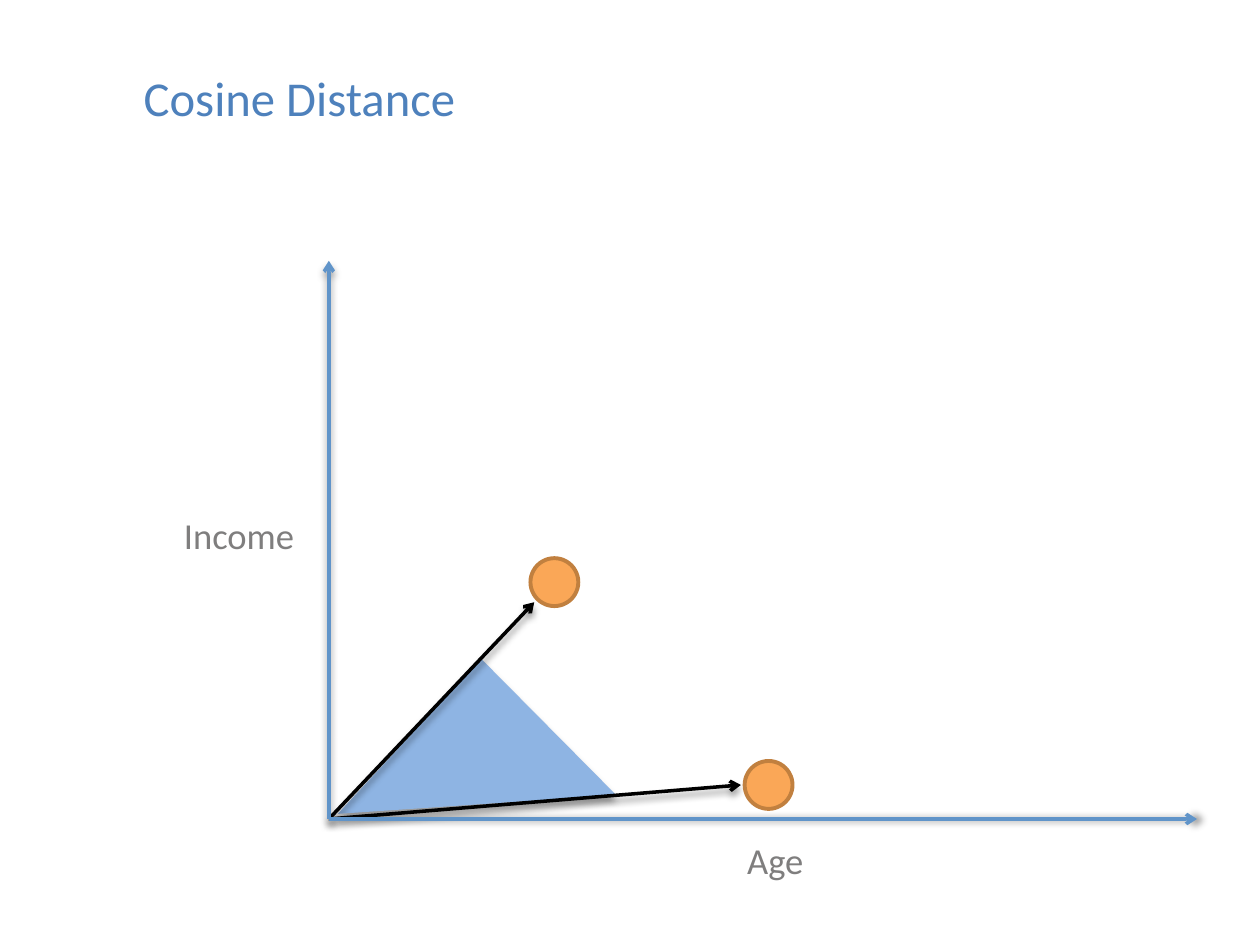
import pptx
import pptx.dml.color
import pptx.enum.shapes
import pptx.oxml
import pptx.oxml.ns
import pptx.util

RGB = pptx.dml.color.RGBColor.from_string
Pt = pptx.util.Pt

THEME = {
    "font": "Calibri",
    "title": RGB("4E81BC"), "title_size": 48,
    "label": RGB("7F7E7E"), "label_size": 36,
    "axis": RGB("6094C9"),
    "vector": RGB("000000"),
    "wedge": RGB("8EB4E3"),
    "point": RGB("FAA757"), "point_edge": RGB("C1803F"),
}

prs = pptx.Presentation()
prs.slide_width = pptx.util.Inches(10)
prs.slide_height = pptx.util.Inches(7.5)
s = prs.slides.add_slide(prs.slide_layouts[6])


def share(x, y):
    """Turn percentages of the slide's width and height into EMU."""
    return round(prs.slide_width * x / 100), round(prs.slide_height * y / 100)


def cast_shadow(sp, angle):
    """Add a soft black shadow falling at the given angle in degrees."""
    sp._element.spPr.append(pptx.oxml.parse_xml(
        f'<a:effectLst {pptx.oxml.ns.nsdecls("a")}>'
        f'<a:outerShdw blurRad="{Pt(4)}" dist="{Pt(3)}" dir="{angle * 60000}" rotWithShape="0">'
        '<a:srgbClr val="000000"><a:alpha val="40000"/></a:srgbClr>'
        '</a:outerShdw></a:effectLst>'))


ORIGIN = (26.1, 86.67)

# Angle between the two vectors
wedge = [share(26.8, 86.13), share(38.2, 69.73), share(48.9, 84.13)]
builder = s.shapes.build_freeform(*wedge[0])
builder.add_line_segments(wedge[1:], close=True)
sp = builder.convert_to_shape()
sp.fill.solid()
sp.fill.fore_color.rgb = THEME["wedge"]
sp.line.fill.background()
cast_shadow(sp, 90)

# Vectors, then axes on top: end point, colour, shadow angle
for end, color, angle in [
    ((42.4, 63.73), "vector", 90),
    ((58.8, 83.07), "vector", 90),
    ((ORIGIN[0], 27.6), "axis", 90),
    ((95, ORIGIN[1]), "axis", 0),
]:
    arrow = s.shapes.add_connector(
        pptx.enum.shapes.MSO_CONNECTOR.STRAIGHT, *share(*ORIGIN), *share(*end))
    arrow.line.color.rgb = THEME[color]
    arrow.line.width = Pt(2)
    arrow.line._get_or_add_ln().append(pptx.oxml.parse_xml(
        f'<a:tailEnd {pptx.oxml.ns.nsdecls("a")} type="arrow"/>'))
    cast_shadow(arrow, angle)

# Data points
for left, top in [(59.1, 80.53), (42.1, 59.07)]:
    sp = s.shapes.add_shape(
        pptx.enum.shapes.MSO_SHAPE.OVAL, *share(left, top), *share(3.8, 5.07))
    sp.shadow.inherit = False
    sp.fill.solid()
    sp.fill.fore_color.rgb = THEME["point"]
    sp.line.color.rgb = THEME["point_edge"]
    sp.line.width = Pt(2.25)

# Title and axis labels: text, position, size, style, line spacing, space before
for text, corner, size, style, leading, before in [
    ("Cosine Distance", (11.4, 8), (86.1, 6.4), "title", 34, 1.7),
    ("Income", (14.6, 54.8), (10.9, 4.8), "label", 26, 1.3),
    ("Age", (59.3, 89.2), (5.9, 4.8), "label", 26, 1.3),
]:
    tf = s.shapes.add_textbox(*share(*corner), *share(*size)).text_frame
    tf.word_wrap = True
    tf.margin_left = tf.margin_top = tf.margin_right = tf.margin_bottom = 0
    p = tf.paragraphs[0]
    r = p.add_run()
    r.text = text
    r._r.get_or_add_rPr().set("baseline", "2000")
    p.line_spacing = Pt(leading)
    p.space_before = Pt(before)
    p.font.name = THEME["font"]
    p.font.size = Pt(THEME[f"{style}_size"])
    p.font.color.rgb = THEME[style]

prs.save("out.pptx")
